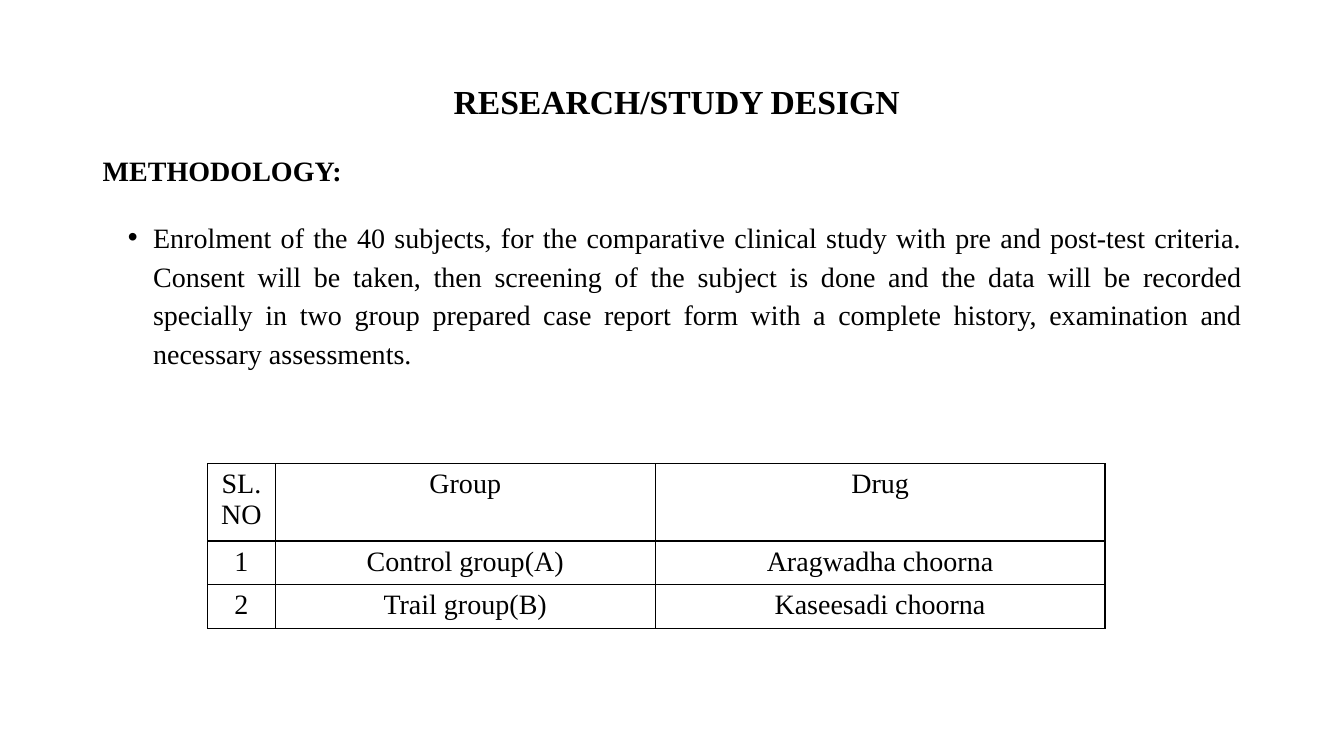
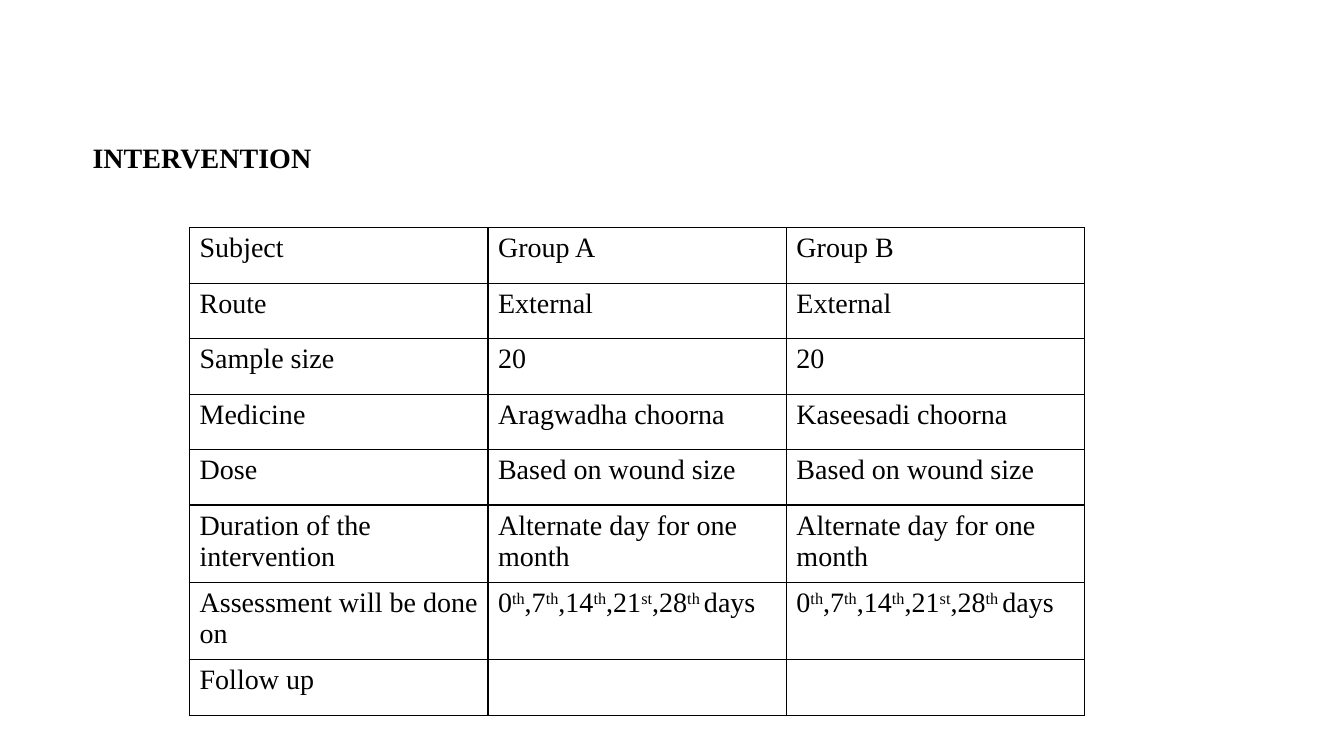
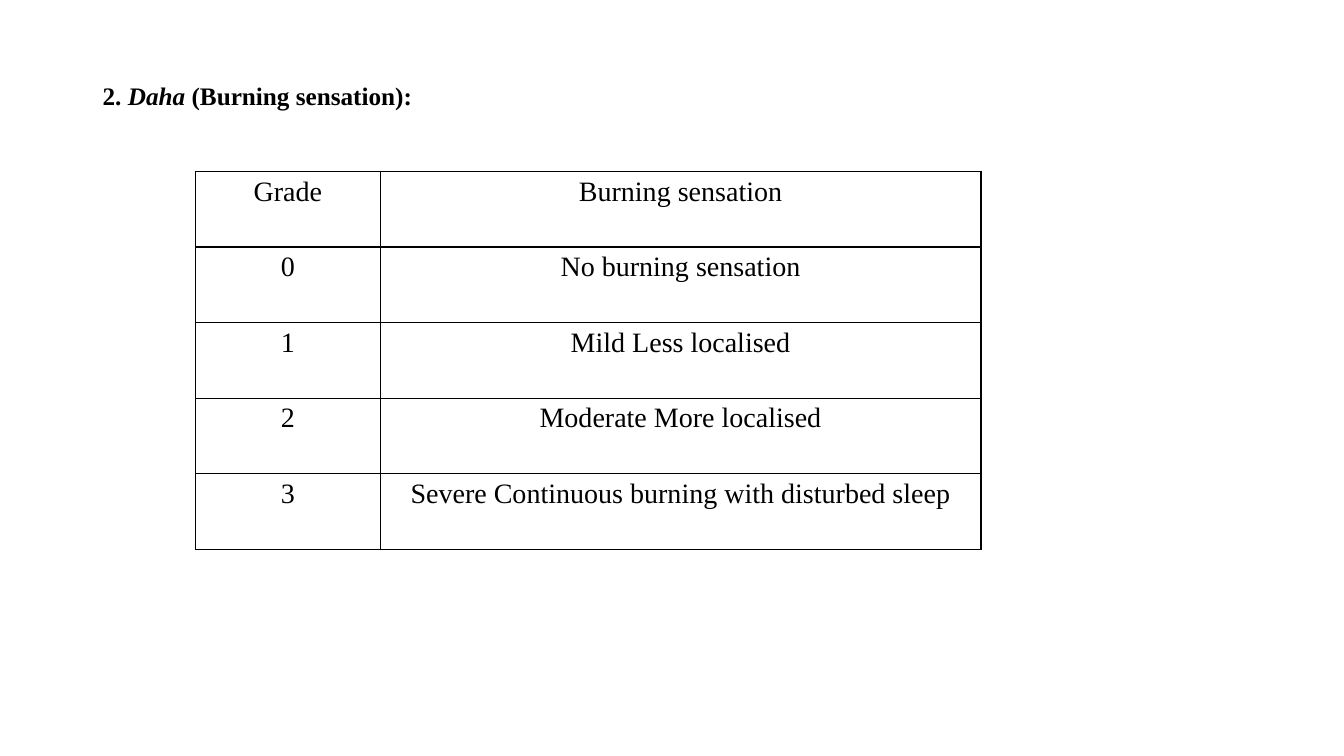
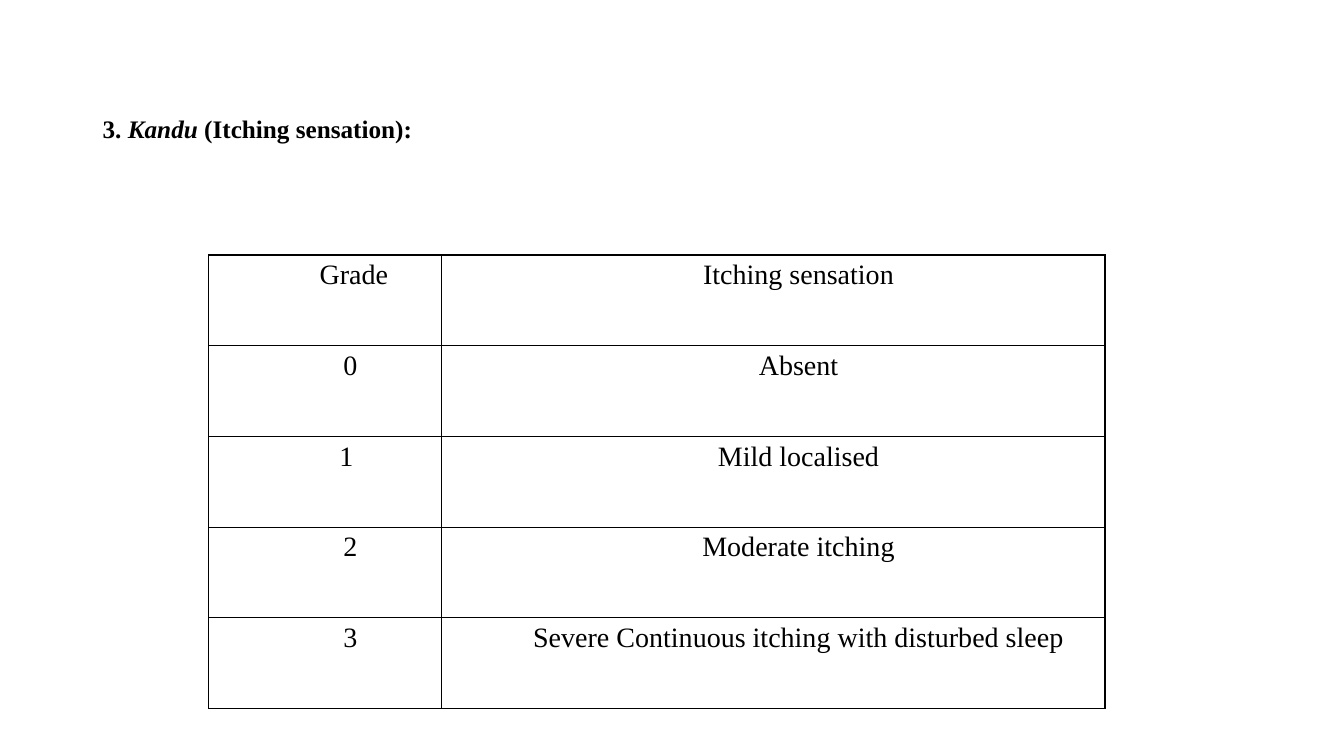
from lxml import etree
from pptx import Presentation
from pptx.dml.color import RGBColor
from pptx.enum.text import PP_ALIGN
from pptx.oxml.ns import qn
from pptx.util import Emu, Pt

LEFT, CENTER, JUSTIFY = PP_ALIGN.LEFT, PP_ALIGN.CENTER, PP_ALIGN.JUSTIFY
SCALE = 9144  # EMU in one px, 100 px to the inch
FONT = "Times New Roman"
INK = "000000"
PAPER = "FFFFFF"
BODY_SIZE = 20
BODY_WIDTH = 1150
BORDER_SIDES = ("a:lnL", "a:lnR", "a:lnT", "a:lnB")


def px(length):
    return Emu(length * SCALE)


def color(hex_string):
    return RGBColor.from_string(hex_string)


# ---- text ----
def set_indent(paragraph, margin, first=0):
    properties = paragraph._p.get_or_add_pPr()
    properties.set("marL", str(px(margin)))
    properties.set("indent", str(px(first)))


def add_bullet(paragraph):
    properties = paragraph._p.get_or_add_pPr()
    etree.SubElement(properties, qn("a:buFont")).set("typeface", "Arial")
    etree.SubElement(properties, qn("a:buChar")).set("char", "•")


def write(paragraph, text, size=BODY_SIZE, bold=False, align=LEFT, spacing=1.0):
    """Fill a paragraph; *stars* mark italics and ^carets^ mark superscript."""
    paragraph.alignment = align
    paragraph.line_spacing = spacing
    mark = "^" if "^" in text else "*"
    for index, part in enumerate(text.split(mark)):
        run = paragraph.add_run()
        run.text = part
        font = run.font
        font.name, font.size, font.bold = FONT, Pt(size), bold
        font.color.rgb = color(INK)
        if index % 2 and mark == "*":
            font.italic = True
        elif index % 2:
            run._r.get_or_add_rPr().set("baseline", "30000")


def add_body(slide, left, top, height):
    box = slide.shapes.add_textbox(px(left), px(top), px(BODY_WIDTH), px(height))
    box.text_frame.word_wrap = True
    return box.text_frame


def add_heading(slide, left, top, text, size, spacing):
    paragraph = add_body(slide, left, top, 50).paragraphs[0]
    write(paragraph, text, size, True, LEFT, spacing)
    paragraph.space_before = Pt(10)


# ---- tables ----
def format_cell(cell):
    properties = cell._tc.get_or_add_tcPr()
    for side in BORDER_SIDES:
        line = etree.SubElement(properties, qn(side), w=str(Pt(1)))
        fill = etree.SubElement(line, qn("a:solidFill"))
        etree.SubElement(fill, qn("a:srgbClr"), val=INK)
    cell.fill.background()


def add_grid(slide, left, top, widths, heights, rows, align=LEFT, spacing=1.0,
             margins=(10, 5), indent=0):
    table = slide.shapes.add_table(
        len(rows), len(widths), px(left), px(top),
        px(sum(widths)), px(sum(heights))).table
    table.first_row = table.horz_banding = False
    for column, width in zip(table.columns, widths):
        column.width = px(width)
    for table_row, height, texts in zip(table.rows, heights, rows):
        table_row.height = px(height)
        for cell, text in zip(table_row.cells, texts):
            format_cell(cell)
            cell.margin_left = cell.margin_right = px(margins[0])
            cell.margin_top = cell.margin_bottom = px(margins[1])
            paragraph = cell.text_frame.paragraphs[0]
            write(paragraph, text, align=align, spacing=spacing)
            if indent:
                set_indent(paragraph, indent)
    return table


def add_grades(slide, left, top, widths, height, rows, indent=0):
    return add_grid(slide, left, top, widths, [height] * len(rows), rows,
                    CENTER, 1.15, (7, 0), indent)


# ---- slides ----
def build_design(slide):
    frame = add_body(slide, 92, 69, 657)
    title = frame.paragraphs[0]
    write(title, " RESEARCH/STUDY DESIGN", 24, True, CENTER, 1.15)
    methodology = frame.add_paragraph()
    write(methodology, "METHODOLOGY:", bold=True, spacing=1.15)
    enrolment = frame.add_paragraph()
    write(enrolment,
          "Enrolment of the 40 subjects, for the comparative clinical study with "
          "pre and post-test criteria. Consent will be taken, then screening of "
          "the subject is done and the data will be recorded specially in two "
          "group prepared case report form with a complete history, examination "
          "and necessary assessments.", align=JUSTIFY, spacing=1.15)
    for paragraph in frame.paragraphs:
        paragraph.space_before = paragraph.space_after = Pt(10)
    set_indent(enrolment, 50, -25)
    add_bullet(enrolment)
    add_grid(slide, 206, 460, (67, 377, 446), (72, 41, 41), (
        ("SL.NO", "Group", "Drug"),
        ("1", "Control group(A)", "Aragwadha choorna"),
        ("2", "Trail group(B)", "Kaseesadi choorna"),
    ), CENTER)


def build_intervention(slide):
    add_heading(slide, 82, 129, "INTERVENTION", BODY_SIZE, 1.15)
    days = "0^th^,7^th^,14^th^,21^st^,28^th ^days"
    add_grid(slide, 188, 226, [296] * 3, [55] * 5 + [72] * 2 + [55], (
        ("Subject", "Group A", "Group B"),
        ("Route", "External", "External"),
        ("Sample size", "20", "20"),
        ("Medicine", "Aragwadha choorna", "Kaseesadi choorna"),
        ("Dose", "Based on wound size", "Based on wound size"),
        ("Duration of the intervention", "Alternate day for one month",
         "Alternate day for one month"),
        ("Assessment will be done on", days, days),
        ("Follow up", "", ""),
    ))


def build_burning(slide):
    add_heading(slide, 92, 78, "2. *Daha* (Burning sensation):", 18, 0.9)
    add_grades(slide, 194, 170, (183, 596), 75, (
        ("Grade", "Burning sensation"),
        ("0", "No burning sensation"),
        ("1", "Mild Less localised"),
        ("2", "Moderate More localised"),
        ("3", "Severe Continuous burning with disturbed sleep"),
    ))


def build_itching(slide):
    add_heading(slide, 92, 111, "3. *Kandu* (Itching sensation):", 18, 0.9)
    table = add_grades(slide, 207, 253, (231, 658), 90, (
        (" Grade", "Itching sensation"),
        ("0", "Absent"),
        ("1", "Mild localised"),
        ("2", "Moderate itching"),
        ("3", "Severe Continuous itching with disturbed sleep"),
    ), 50)
    # Grade 1 sits a little further left than the others
    set_indent(table.cell(2, 0).text_frame.paragraphs[0], 42)


def main():
    presentation = Presentation()
    presentation.slide_width, presentation.slide_height = px(1333), px(750)
    blank = presentation.slide_layouts[6]
    for build in (build_design, build_intervention, build_burning, build_itching):
        slide = presentation.slides.add_slide(blank)
        background = slide.background.fill
        background.solid()
        background.fore_color.rgb = color(PAPER)
        build(slide)
    presentation.save("out.pptx")


if __name__ == "__main__":
    main()
